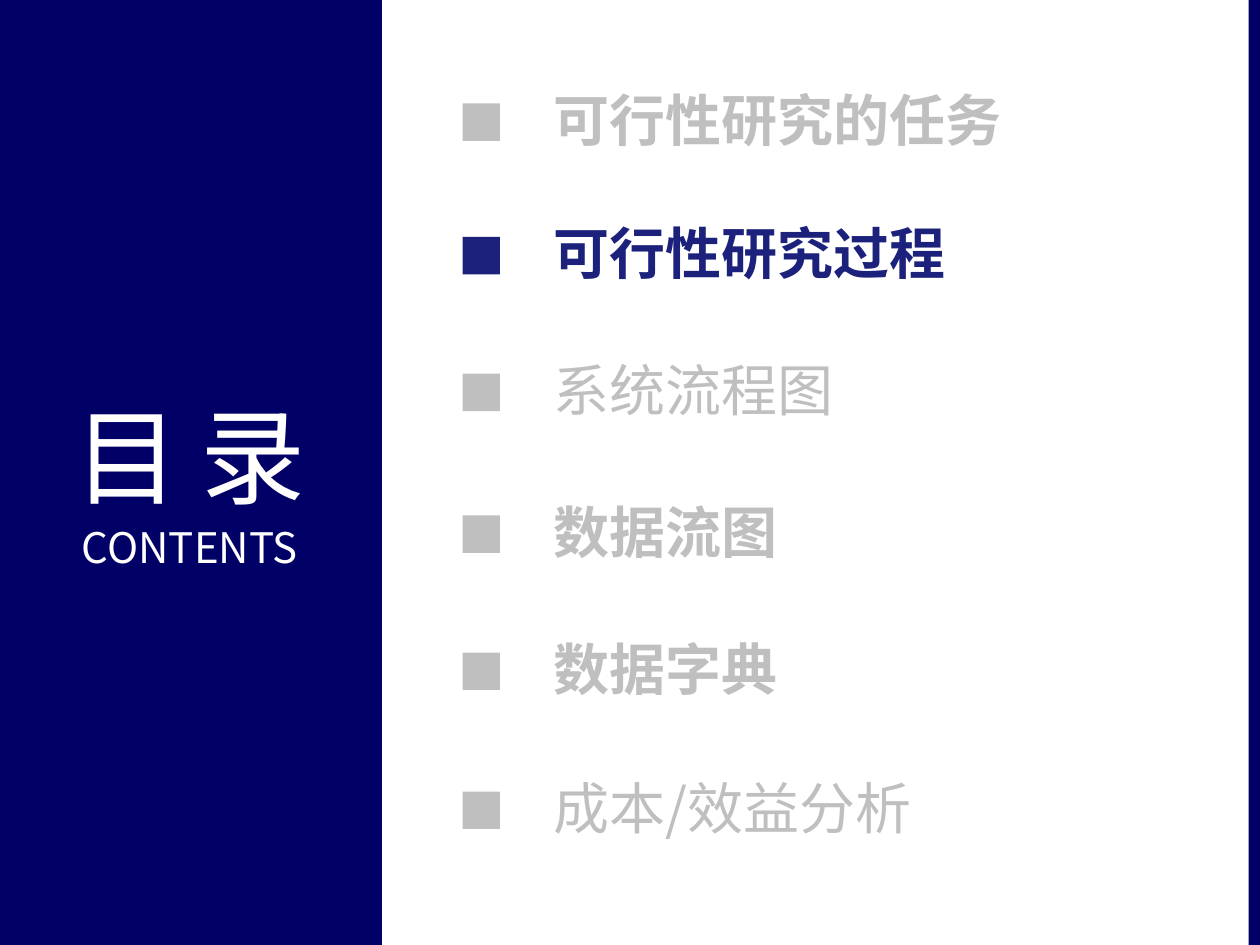
from dataclasses import dataclass

import lxml.etree
import pptx
import pptx.dml.color
import pptx.enum.shapes
import pptx.enum.text
import pptx.oxml.ns
import pptx.util

Pt = pptx.util.Pt
ANCHOR = pptx.enum.text.MSO_ANCHOR
ALIGN = pptx.enum.text.PP_ALIGN
FONT = "Noto Sans CJK SC"
NAVY, WHITE, GREY, ACTIVE = "000066", "FFFFFF", "BFBFBF", "1C217C"


@dataclass
class Item:
    text: str
    top: float
    bold: bool = True
    color: str = GREY


ITEMS = [
    Item("可行性研究的任务", 46.8),
    Item("可行性研究过程", 123.1, color=ACTIVE),
    Item("系统流程图", 201.2, bold=False),
    Item("数据流图", 282.2),
    Item("数据字典", 360.6),
    Item("成本/效益分析", 440, bold=False),
]


def rgb(value: str) -> pptx.dml.color.RGBColor:
    return pptx.dml.color.RGBColor.from_string(value)


def add_rect(s, left: float, top: float, width: float, height: float, color: str) -> None:
    sp = s.shapes.add_shape(pptx.enum.shapes.MSO_SHAPE.RECTANGLE,
                            Pt(left), Pt(top), Pt(width), Pt(height))
    sp.shadow.inherit = False
    sp.fill.solid()
    sp.fill.fore_color.rgb = rgb(color)
    sp.line.fill.background()


def add_box(s, left: float, top: float, width: float, height: float, frame: dict):
    tf = s.shapes.add_textbox(Pt(left), Pt(top), Pt(width), Pt(height)).text_frame
    for name, value in ({"word_wrap": True} | frame).items():
        setattr(tf, name, value)
    return tf


def add_run(p, text: str, color: str, spacing: float = 0, **fmt) -> None:
    r = p.add_run()
    r.text = text
    for name, value in ({"name": FONT} | fmt).items():
        setattr(r.font, name, value)
    r.font.color.rgb = rgb(color)
    rPr = r._r.get_or_add_rPr()
    if spacing:
        rPr.set("spc", str(int(spacing * 100)))
    lxml.etree.SubElement(rPr, pptx.oxml.ns.qn("a:ea")).set("typeface", FONT)


def add_item(s, item: Item) -> None:
    add_rect(s, 264.3, item.top + 12.3, 21.4, 21.4, item.color)
    tf = add_box(s, 309, item.top, 381, 46,
                 {"vertical_anchor": ANCHOR.MIDDLE, "margin_bottom": Pt(7.2)})
    add_run(tf.paragraphs[0], item.text, item.color, size=Pt(32), bold=item.bold)


def add_title(s) -> None:
    tf = add_box(s, -1.4, 208, 219.6, 124,
                 {"vertical_anchor": ANCHOR.BOTTOM, "margin_bottom": Pt(5.2)})
    p = tf.paragraphs[0]
    p.alignment = ALIGN.CENTER
    add_run(p, "目录", WHITE, 12, size=Pt(60))
    p = tf.add_paragraph()
    p.alignment = ALIGN.CENTER
    p.space_before = Pt(2.3)
    add_run(p, "CONTENTS", WHITE, size=Pt(24))


def main() -> None:
    prs = pptx.Presentation()
    prs.slide_width, prs.slide_height = Pt(720), Pt(540)
    s = prs.slides.add_slide(prs.slide_layouts[6])
    add_rect(s, -1.4, 0, 219.6, 540, NAVY)
    add_title(s)
    add_rect(s, 713.5, 0, 6.5, 540, NAVY)
    for item in ITEMS:
        add_item(s, item)
    prs.save("out.pptx")


if __name__ == "__main__":
    main()
